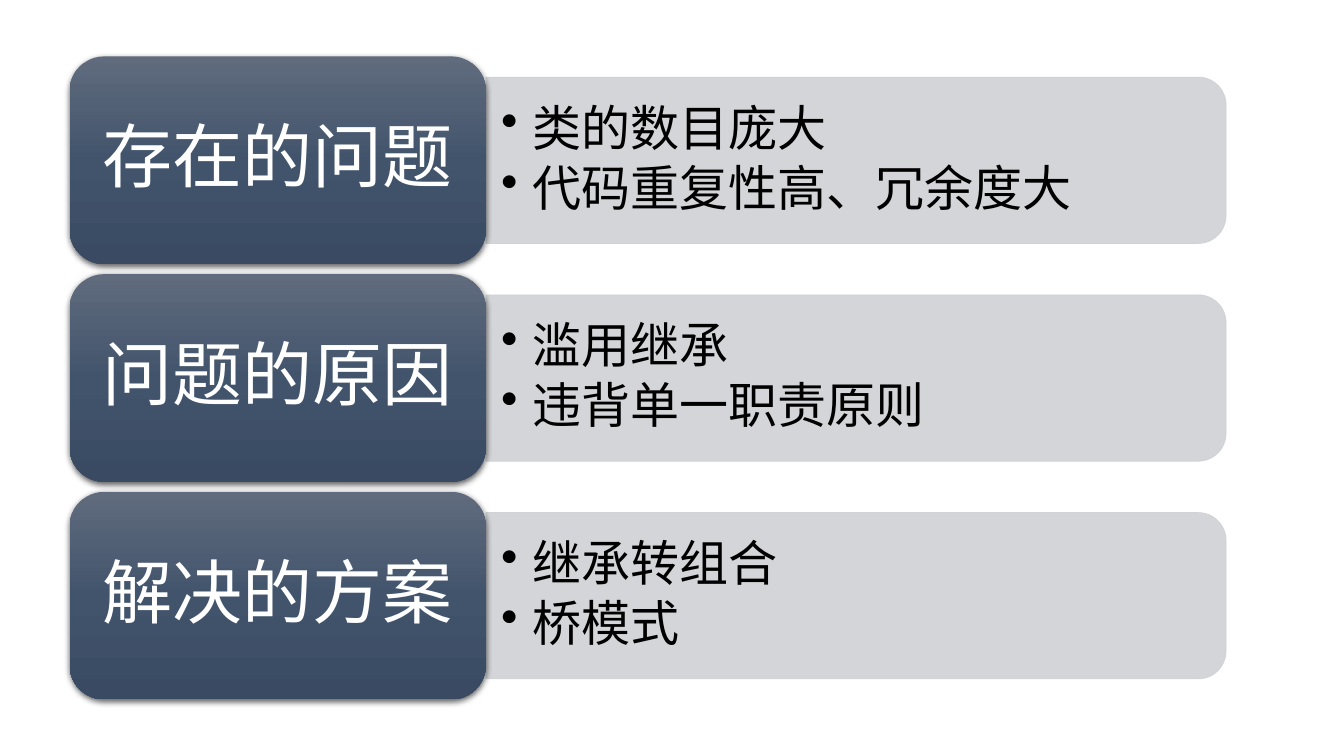
from dataclasses import dataclass

import pptx
import pptx.dml.color
import pptx.enum.shapes
import pptx.enum.text
import pptx.oxml
import pptx.oxml.ns
import pptx.presentation
import pptx.shapes.autoshape
import pptx.slide
import pptx.util

Inches = pptx.util.Inches
Pt = pptx.util.Pt
RGBColor = pptx.dml.color.RGBColor
Shape = pptx.shapes.autoshape.Shape
Kind = pptx.enum.shapes.MSO_SHAPE
Align = pptx.enum.text.PP_ALIGN

BLACK = RGBColor(0x00, 0x00, 0x00)
WHITE = RGBColor(0xFF, 0xFF, 0xFF)
GREY = RGBColor(0xCF, 0xD1, 0xD4)
SLATE = RGBColor(0x60, 0x6B, 0x7D)
NAVY = RGBColor(0x42, 0x54, 0x6C)
DEEP = RGBColor(0x39, 0x4A, 0x62)

FONT = "Noto Sans CJK SC"
SPACE = pptx.oxml.ns.nsdecls("a")

LEFT, TOP, PITCH = 0.69, 0.56, 2.16
HEAD_W, HEAD_H = 4.13, 2.06
BAR_W, BAR_H = 7.34, 1.65
LIST_W, LIST_H = 7.26, 1.48


@dataclass
class Row:
    head: str
    items: list[str]


@dataclass
class Style:
    font: dict
    para: dict
    frame: dict
    after: int
    indent: float = 0


ROWS = [
    Row("存在的问题", ["类的数目庞大", "代码重复性高、冗余度大"]),
    Row("问题的原因", ["滥用继承", "违背单一职责原则"]),
    Row("解决的方案", ["继承转组合", "桥模式"]),
]


def inset(side: float, edge: float) -> dict:
    """Return frame values for wrapped, centred text with the given margins."""
    return {
        "word_wrap": True,
        "vertical_anchor": pptx.enum.text.MSO_ANCHOR.MIDDLE,
        "margin_left": Inches(side),
        "margin_right": Inches(side),
        "margin_top": Inches(edge),
        "margin_bottom": Inches(edge),
    }


HEAD = Style(
    {"name": FONT, "size": Pt(50)},
    {"alignment": Align.CENTER, "line_spacing": 0.9},
    inset(0.21, 0.1), after=35,
)
LIST = Style(
    {"name": FONT, "size": Pt(35)},
    {"alignment": Align.LEFT, "line_spacing": 0.9, "level": 1},
    inset(0.15, 0.07), after=15, indent=0.31,
)


def apply(goal: object, values: dict) -> None:
    for name, value in values.items():
        setattr(goal, name, value)


def node(text: str) -> object:
    """Build a DrawingML element from its text without the namespace."""
    tag, rest = text[1:].split(" ", 1)
    return pptx.oxml.parse_xml(f"<{tag} {SPACE} {rest}")


def write(shape: Shape, lines: list[str], style: Style, ink: RGBColor) -> None:
    frame = shape.text_frame
    apply(frame, style.frame)
    for i, line in enumerate(lines):
        para = frame.add_paragraph() if i else frame.paragraphs[0]
        apply(para, style.para)
        props = para._p.get_or_add_pPr()
        props.append(node(f'<a:spcAft ><a:spcPct val="{style.after * 1000}"/></a:spcAft>'))
        if style.indent:
            props.set("marL", str(Inches(style.indent)))
            props.set("indent", str(-Inches(style.indent)))
            props.append(node('<a:buChar char="•"/>'))
        run = para.add_run()
        run.text = line
        apply(run.font, style.font)
        run.font.color.rgb = ink
        run._r.get_or_add_rPr().append(node(f'<a:ea typeface="{FONT}"/>'))


def draw_bar(slide: pptx.slide.Slide, mid: float) -> None:
    """Draw the grey bar, turned so that its round corners face right."""
    centre = LEFT + HEAD_W + BAR_W / 2
    bar = slide.shapes.add_shape(
        Kind.ROUND_2_SAME_RECTANGLE,
        Inches(centre - BAR_H / 2), Inches(mid - BAR_W / 2),
        Inches(BAR_H), Inches(BAR_W),
    )
    bar.rotation = 90
    bar.shadow.inherit = False
    bar.line.width = Pt(0.5)
    for fill in (bar.fill, bar.line.fill):
        fill.solid()
        fill.fore_color.rgb = GREY
    for tone in bar._element.spPr.iter(pptx.oxml.ns.qn("a:srgbClr")):
        tone.append(node('<a:alpha val="90000"/>'))


def draw_list(slide: pptx.slide.Slide, mid: float, items: list[str]) -> None:
    box = slide.shapes.add_textbox(
        Inches(LEFT + HEAD_W), Inches(mid - LIST_H / 2),
        Inches(LIST_W), Inches(LIST_H),
    )
    write(box, items, LIST, BLACK)


def draw_head(slide: pptx.slide.Slide, mid: float, text: str) -> None:
    head = slide.shapes.add_shape(
        Kind.ROUNDED_RECTANGLE,
        Inches(LEFT), Inches(mid - HEAD_H / 2), Inches(HEAD_W), Inches(HEAD_H),
    )
    head.line.fill.background()
    head.shadow.inherit = False
    head.fill.background()
    props = head._element.spPr
    stops = "".join(
        f'<a:gs pos="{spot}"><a:srgbClr val="{tone}"/></a:gs>'
        for spot, tone in ((0, SLATE), (50000, NAVY), (100000, DEEP))
    )
    props.replace(
        props.find(pptx.oxml.ns.qn("a:noFill")),
        node(f'<a:gradFill rotWithShape="1"><a:gsLst>{stops}</a:gsLst>'
             '<a:lin ang="5400000" scaled="0"/></a:gradFill>'),
    )
    props.find(pptx.oxml.ns.qn("a:effectLst")).append(node(
        f'<a:outerShdw blurRad="{Pt(4.5)}" dist="{Pt(1.5)}" dir="5400000" '
        f'algn="ctr" rotWithShape="0"><a:srgbClr val="{BLACK}">'
        '<a:alpha val="63000"/></a:srgbClr></a:outerShdw>'
    ))
    write(head, [text], HEAD, WHITE)


def main() -> None:
    deck = pptx.Presentation()
    apply(deck, {"slide_width": Inches(13.33), "slide_height": Inches(7.5)})
    slide = deck.slides.add_slide(deck.slide_layouts[6])
    for i, row in enumerate(ROWS):
        mid = TOP + HEAD_H / 2 + i * PITCH
        draw_bar(slide, mid)
        draw_list(slide, mid, row.items)
        draw_head(slide, mid, row.head)
    deck.save("out.pptx")


if __name__ == "__main__":
    main()
